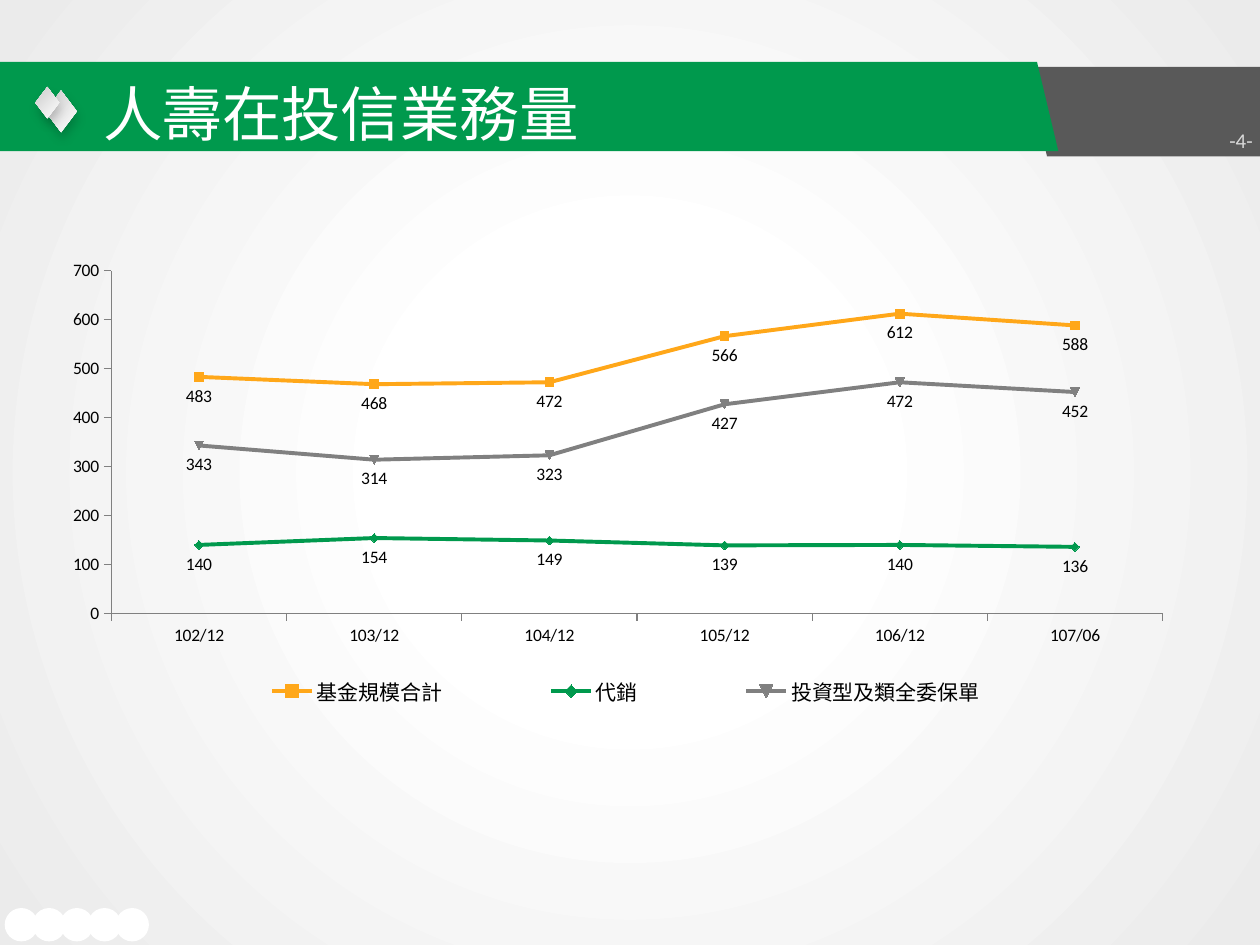
from dataclasses import dataclass

from lxml import etree
from pptx import Presentation
from pptx.chart.data import CategoryChartData
from pptx.dml.color import RGBColor
from pptx.enum.chart import XL_CHART_TYPE, XL_LABEL_POSITION, XL_LEGEND_POSITION, XL_TICK_MARK
from pptx.enum.shapes import MSO_SHAPE
from pptx.enum.text import MSO_ANCHOR, PP_ALIGN
from pptx.oxml import parse_xml
from pptx.oxml.ns import nsdecls, qn
from pptx.util import Pt

LINE = XL_CHART_TYPE.LINE
BELOW = XL_LABEL_POSITION.BELOW
RIGHT_LEGEND = XL_LEGEND_POSITION.RIGHT
TICK_OUT, TICK_NONE = XL_TICK_MARK.OUTSIDE, XL_TICK_MARK.NONE
DIAMOND, OVAL = MSO_SHAPE.DIAMOND, MSO_SHAPE.OVAL
MIDDLE, BOTTOM = MSO_ANCHOR.MIDDLE, MSO_ANCHOR.BOTTOM
LEFT, RIGHT = PP_ALIGN.LEFT, PP_ALIGN.RIGHT


@dataclass(frozen=True)
class Theme:
    white: RGBColor = RGBColor.from_string("FFFFFF")
    black: RGBColor = RGBColor.from_string("000000")
    edge: RGBColor = RGBColor.from_string("EBEBEB")
    silver: RGBColor = RGBColor.from_string("CCCCCC")
    page: RGBColor = RGBColor.from_string("D9D9D9")
    dark: RGBColor = RGBColor.from_string("595959")
    green: RGBColor = RGBColor.from_string("00994D")
    orange: RGBColor = RGBColor.from_string("FFA719")
    gray: RGBColor = RGBColor.from_string("808080")
    latin: str = "Calibri"
    cjk: str = "Noto Sans CJK TC"
    title_size: int = 34
    page_size: int = 12
    legend_size: int = 12
    chart_size: int = 10


T = Theme()


def put_text(shape, text, *, size, color, font, align, anchor):
    tf = shape.text_frame
    tf.word_wrap = True
    tf.vertical_anchor = anchor
    p = tf.paragraphs[0]
    p.alignment = align
    r = p.add_run()
    r.text = text
    r.font.size = Pt(size)
    r.font.name = font
    r.font.color.rgb = color
    etree.SubElement(r.font._element, qn("a:ea")).set("typeface", font)


def set_gradient(fill, *stops):
    """Apply two (position, colour) stops."""
    fill.gradient()
    for stop, (position, color) in zip(fill.gradient_stops, stops):
        stop.position = position
        stop.color.rgb = color


prs = Presentation()
prs.slide_width, prs.slide_height = Pt(720), Pt(540)
s = prs.slides.add_slide(prs.slide_layouts[5])

# Background: radial gradient from the centre
set_gradient(s.background.fill, (0.28, T.white), (1, T.edge))
lin = s.element.find(".//" + qn("a:lin"))
lin.getparent().replace(lin, parse_xml(
    f'<a:path {nsdecls("a")} path="circle">'
    '<a:fillToRect l="50000" t="50000" r="50000" b="50000"/></a:path>'))

# Banner
banner = (
    (T.dark, [(586.8, 38.2), (722.9, 38.2), (722.9, 89.3), (598.3, 89.3)]),
    (T.green, [(0, 35.3), (592.6, 35.3), (604.8, 86.4), (0, 86.4)]),
)
for color, points in banner:
    corners = [(Pt(x), Pt(y)) for x, y in points]
    builder = s.shapes.build_freeform(*corners[0])
    builder.add_line_segments(corners[1:], close=True)
    sp = builder.convert_to_shape()
    sp.shadow.inherit = False
    sp.fill.solid()
    sp.fill.fore_color.rgb = color
    sp.line.fill.background()

# Overlapping diamonds with a soft shadow
for x, y, w, h in ((25.9, 51.8, 18, 23.8), (20.2, 49.7, 13.7, 18)):
    sp = s.shapes.add_shape(DIAMOND, Pt(x), Pt(y), Pt(w), Pt(h))
    set_gradient(sp.fill, (0, T.white), (1, T.silver))
    sp.fill.gradient_angle = 135
    sp.line.fill.background()
    sp.shadow.inherit = False
    effects = sp.element.spPr.find(qn("a:effectLst"))
    effects.append(parse_xml(
        f'<a:outerShdw {nsdecls("a")} blurRad="{Pt(6)}" dist="{Pt(4)}" dir="4620000">'
        f'<a:srgbClr val="{T.black}"><a:alpha val="18000"/></a:srgbClr></a:outerShdw>'))

# Row of dots, the leftmost in front
for i in reversed(range(5)):
    dot = s.shapes.add_shape(OVAL, Pt(3.6 + 15.84 * i), Pt(519.8), Pt(17.3), Pt(17.3))
    dot.shadow.inherit = False
    dot.fill.solid()
    dot.fill.fore_color.rgb = T.white
    dot.line.color.rgb = T.white
    dot.line.width = Pt(1.75)

# Title, moved in front of the banner
title = s.shapes.title
title.left, title.top, title.width, title.height = Pt(51.8), Pt(42.5), Pt(540), Pt(43.9)
put_text(title, "人壽在投信業務量", size=T.title_size, color=T.white, font=T.cjk,
         align=LEFT, anchor=MIDDLE)
s.shapes.element.append(title.element)

page = s.shapes.add_textbox(Pt(687.6), Pt(69.8), Pt(33.8), Pt(20.2))
tf = page.text_frame
tf.margin_left = tf.margin_right = Pt(5.5)
tf.margin_top = tf.margin_bottom = Pt(2.75)
put_text(page, "-4-", size=T.page_size, color=T.page, font=T.latin,
         align=RIGHT, anchor=BOTTOM)

# Line chart
series = (
    ("基金規模合計", (483, 468, 472, 566, 612, 588), T.orange),
    ("代銷", (140, 154, 149, 139, 140, 136), T.green),
    ("投資型及類全委保單", (343, 314, 323, 427, 472, 452), T.gray),
)
data = CategoryChartData()
data.categories = ["102/12", "103/12", "104/12", "105/12", "106/12", "107/06"]
for name, values, _ in series:
    data.add_series(name, values)
chart = s.shapes.add_chart(LINE, Pt(32.4), Pt(145.4), Pt(650.9), Pt(264.2), data).chart
chart.has_title = False
chart.font.name = T.latin
chart.font.size = Pt(T.chart_size)
chart.font.color.rgb = T.black

plot = chart.plots[0]
plot.vary_by_categories = False
for line, (_, _, color) in zip(plot.series, series):
    line.smooth = False
    line.format.line.color.rgb = color
    line.format.line.width = Pt(2.25)
    line.marker.style = None
    labels = line.data_labels
    labels.show_value = True
    labels.position = BELOW

for axis in (chart.category_axis, chart.value_axis):
    axis.has_major_gridlines = False
    axis.major_tick_mark = TICK_OUT
    axis.minor_tick_mark = TICK_NONE
    axis.format.line.color.rgb = T.gray
    axis.format.line.width = Pt(0.75)
chart.value_axis.minimum_scale = 0
chart.value_axis.maximum_scale = 700
chart.value_axis.major_unit = 100

chart.has_legend = True
legend = chart.legend
legend.position = RIGHT_LEGEND
legend.include_in_layout = False
legend.font.size = Pt(T.legend_size)
legend.font.name = T.latin
legend.font.color.rgb = T.black

# Fixed places for the plot area and for the legend under it
plot_area = chart.element.find(".//" + qn("c:plotArea"))
layouts = (
    (plot_area, '<c:layoutTarget val="inner"/>', (0.048, 0.035, 0.923, 0.742)),
    (legend.font._element.getparent().getparent().getparent().getparent(), "",
     (0.1, 0.9, 0.8, 0.09)),
)
for parent, target, (x, y, w, h) in layouts:
    for old in parent.findall(qn("c:layout")):
        parent.remove(old)
    layout = parse_xml(
        f'<c:layout {nsdecls("c")}><c:manualLayout>{target}'
        '<c:xMode val="edge"/><c:yMode val="edge"/>'
        f'<c:x val="{x}"/><c:y val="{y}"/><c:w val="{w}"/><c:h val="{h}"/>'
        '</c:manualLayout></c:layout>')
    parent.insert(0 if parent is plot_area else 1, layout)

prs.save("out.pptx")
